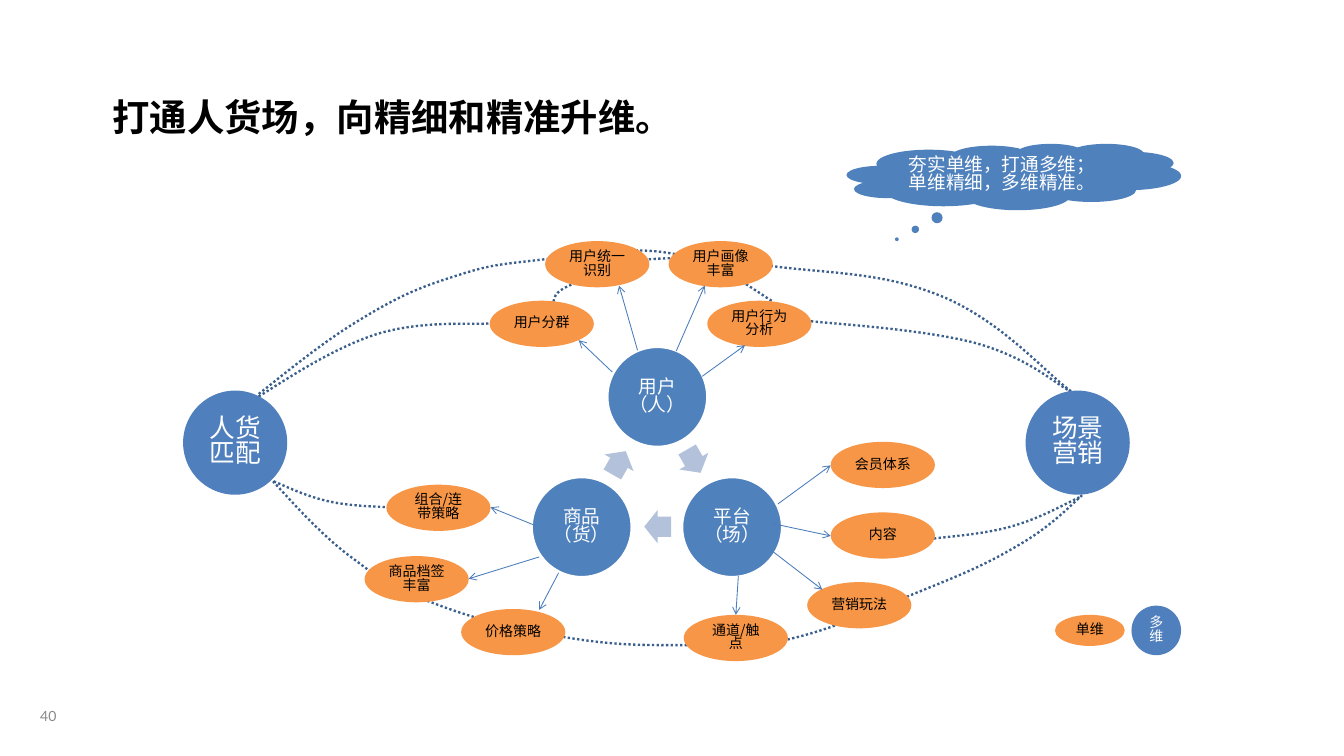
"""Build the slide on linking users, goods and platforms."""
from typing import NamedTuple

from lxml import etree
from pptx import Presentation
from pptx.dml.color import RGBColor
from pptx.enum.dml import MSO_LINE
from pptx.enum.shapes import MSO_CONNECTOR, MSO_SHAPE
from pptx.enum.text import MSO_ANCHOR, MSO_AUTO_SIZE, PP_ALIGN
from pptx.oxml.ns import qn
from pptx.util import Inches, Pt

OVAL, ARROW, CLOUD = MSO_SHAPE.OVAL, MSO_SHAPE.RIGHT_ARROW, MSO_SHAPE.CLOUD_CALLOUT
STRAIGHT, DOTTED = MSO_CONNECTOR.STRAIGHT, MSO_LINE.ROUND_DOT
MIDDLE, CENTER, LEFT = MSO_ANCHOR.MIDDLE, PP_ALIGN.CENTER, PP_ALIGN.LEFT
NO_AUTOFIT = MSO_AUTO_SIZE.NONE

BLACK = RGBColor(0x00, 0x00, 0x00)
WHITE = RGBColor(0xFF, 0xFF, 0xFF)
GRAY = RGBColor(0x89, 0x89, 0x89)
BLUE = RGBColor(0x4F, 0x81, 0xBD)
DEEP_BLUE = RGBColor(0x4F, 0x80, 0xBD)
PALE_BLUE = RGBColor(0xB3, 0xC1, 0xDB)
ORANGE = RGBColor(0xF7, 0x96, 0x46)
LINK_BLUE = RGBColor(0x4B, 0x7E, 0xBC)
ORBIT_BLUE = RGBColor(0x3A, 0x5F, 0x8C)

CJK_FONT, NUMBER_FONT = "Noto Sans CJK SC", "Lato"
CJK_LEADING = 0.82
HUB_SIZE, GOAL_SIZE = 1.19, 1.24
TOPIC_WIDTH, TOPIC_HEIGHT = 1.24, 0.55

Point = tuple[float, float]


class Bubble(NamedTuple):
    """A filled shape with a centred label."""
    label: str
    left: float
    top: float
    width: float
    height: float
    fill: RGBColor
    size: int = 12
    color: RGBColor = WHITE
    kind: MSO_SHAPE = OVAL
    outlined: bool = False
    margin: float | None = None


class CycleArrow(NamedTuple):
    """A block arrow between two hubs."""
    left: float
    top: float
    rotation: int


class Link(NamedTuple):
    """A thin arrow from a hub to a topic."""
    start: Point
    end: Point


def topic(label: str, left: float, top: float) -> Bubble:
    """Describe an orange topic bubble."""
    return Bubble(label, left, top, TOPIC_WIDTH, TOPIC_HEIGHT, ORANGE, color=BLACK)


def hub(label: str, left: float, top: float) -> Bubble:
    """Describe one of the three central circles."""
    return Bubble(label, left, top, HUB_SIZE, HUB_SIZE, BLUE, 16, outlined=True, margin=0.02)


def goal(label: str, left: float) -> Bubble:
    """Describe one of the two outer circles."""
    return Bubble(label, left, 4.65, GOAL_SIZE, GOAL_SIZE, DEEP_BLUE, 22)


ORBITS: list[list[Point]] = [
    [(12.85, 5.92), (12.7, 5.99), (12.39, 6.17), (12.03, 6.27),
     (11.67, 6.37), (11.24, 6.39), (11.06, 6.42)],
    [(3.26, 5.73), (3.38, 5.78), (3.64, 5.91), (3.92, 5.97),
     (4.19, 6.03), (4.51, 6.03), (4.64, 6.04)],
    [(3.25, 5.73), (3.41, 5.9), (3.77, 6.32), (4.15, 6.61), (4.54, 6.9), (4.64, 6.99),
     (5.16, 7.18), (5.68, 7.38), (6.14, 7.49), (6.75, 7.59), (7.36, 7.69), (7.68, 7.68),
     (8.21, 7.68), (8.74, 7.68), (8.88, 7.72), (9.39, 7.61), (9.9, 7.49), (10.24, 7.33),
     (10.78, 7.11), (11.32, 6.89), (11.67, 6.76), (12.09, 6.51), (12.52, 6.27),
     (12.76, 6), (12.9, 5.88)],
    [(12.71, 4.64), (12.53, 4.54), (12.22, 4.25), (11.6, 4.08),
     (10.98, 3.92), (9.99, 3.86), (9.61, 3.82)],
    [(3.08, 4.72), (3.33, 4.57), (3.92, 4.16), (4.48, 3.98), (5.03, 3.81), (5.57, 3.87),
     (5.84, 3.85), (6.11, 3.83), (5.87, 3.87), (5.84, 3.87)],
    [(6.59, 3.59), (6.61, 3.55), (6.57, 3.49), (6.8, 3.39), (7.02, 3.29), (7.22, 3.14),
     (7.7, 3.09), (8.18, 3.05), (8.5, 3.08), (9.2, 3.17), (9.91, 3.26), (10.53, 3.24),
     (11.24, 3.54), (11.94, 3.84), (12.44, 4.43), (12.74, 4.65), (13.03, 4.88),
     (12.75, 4.68), (12.71, 4.65)],
    [(3.08, 4.69), (3.29, 4.53), (3.81, 4.09), (4.28, 3.81), (4.74, 3.53), (4.97, 3.43),
     (5.41, 3.29), (5.84, 3.15), (5.94, 3.15), (6.46, 3.09), (6.98, 3.04), (7.46, 2.92),
     (8.01, 3.02), (8.56, 3.12), (9, 3.47), (9.2, 3.59)],
]
HUBS = [hub("用户（人）", 7.23, 4.13), hub("平台（场）", 8.12, 5.68), hub("商品（货）", 6.33, 5.68)]
CYCLE_ARROWS = [CycleArrow(8.1, 5.29, 60), CycleArrow(7.67, 6.07, 180), CycleArrow(7.21, 5.31, 300)]
TOPICS = [
    topic("用户分群", 5.83, 3.58), topic("用户统一识别", 6.49, 2.87),
    topic("用户画像丰富", 7.96, 2.87), topic("用户行为分析", 8.42, 3.58),
    topic("通道/触点", 8.14, 7.32), topic("营销玩法", 9.61, 6.93),
    topic("内容", 9.89, 6.1), topic("会员体系", 9.89, 5.26),
    topic("组合/连带策略", 4.6, 5.77), topic("商品档签丰富", 4.34, 6.62),
    topic("价格策略", 5.49, 7.25),
]
LINKS = [
    Link((7.29, 4.43), (6.89, 4.05)), Link((8.36, 4.48), (8.87, 4.11)),
    Link((7.59, 4.17), (7.37, 3.4)), Link((8.05, 4.18), (8.39, 3.4)),
    Link((8.79, 6.86), (8.76, 7.32)), Link((9.26, 6), (9.89, 5.54)),
    Link((9.18, 6.55), (9.79, 7.02)), Link((9.18, 6.23), (9.89, 6.38)),
    Link((6.65, 6.82), (6.42, 7.26)), Link((6.38, 6.26), (5.84, 6.04)),
    Link((6.42, 6.63), (5.58, 6.89)),
]
GOALS = [goal("人货匹配", 2.18), goal("场景营销", 12.21)]
MOTTO = Bubble("夯实单维，打通多维；单维精细，多维精准。", 10.08, 1.71, 3.98, 0.79, BLUE, 16, kind=CLOUD)
LEGEND = [
    Bubble("单维", 12.56, 7.32, 0.83, 0.37, ORANGE, color=BLACK),
    Bubble("多维", 13.47, 7.21, 0.59, 0.59, DEEP_BLUE),
]


def write(frame, text: str, size: int, color: RGBColor, align=CENTER,
          font: str = CJK_FONT, bold: bool = False, leading: float = 1.0) -> None:
    """Fill a text frame with one formatted paragraph."""
    frame.text = text
    frame.word_wrap = True
    frame.auto_size = NO_AUTOFIT
    frame.vertical_anchor = MIDDLE
    paragraph = frame.paragraphs[0]
    paragraph.alignment = align
    paragraph.line_spacing = leading
    paragraph.font.size = Pt(size)
    paragraph.font.bold = bold
    paragraph.font.color.rgb = color
    paragraph.font.name = font
    defaults = paragraph._p.pPr.find(qn("a:defRPr"))
    etree.SubElement(defaults, qn("a:ea")).set("typeface", font)


def draw_orbit(slide, points: list[Point]) -> None:
    """Draw a dotted chain of cubic curves."""
    scaled = [(Inches(x), Inches(y)) for x, y in points]
    builder = slide.shapes.build_freeform(*scaled[0])
    builder.add_line_segments(scaled[1:], close=False)
    orbit = builder.convert_to_shape()
    steps = list(orbit._element.iter(qn("a:lnTo")))
    for first, second, third in zip(steps[::3], steps[1::3], steps[2::3]):
        first.tag = qn("a:cubicBezTo")
        for step in (second, third):
            first.append(step[0])
            step.getparent().remove(step)
    orbit.shadow.inherit = False
    orbit.fill.background()
    orbit.line.color.rgb = ORBIT_BLUE
    orbit.line.width = Pt(2)
    orbit.line.dash_style = DOTTED


def draw_bubble(slide, bubble: Bubble):
    """Draw a labelled shape and return it."""
    box = map(Inches, (bubble.left, bubble.top, bubble.width, bubble.height))
    shape = slide.shapes.add_shape(bubble.kind, *box)
    shape.shadow.inherit = False
    shape.fill.solid()
    shape.fill.fore_color.rgb = bubble.fill
    if bubble.outlined:
        shape.line.color.rgb = WHITE
        shape.line.width = Pt(2)
    else:
        shape.line.fill.background()
    frame = shape.text_frame
    if bubble.margin is not None:
        frame.margin_left = frame.margin_right = Inches(bubble.margin)
        frame.margin_top = frame.margin_bottom = Inches(bubble.margin)
    write(frame, bubble.label, bubble.size, bubble.color, leading=CJK_LEADING)
    return shape


def draw_cycle_arrow(slide, arrow: CycleArrow) -> None:
    """Draw a block arrow of the central cycle."""
    shape = slide.shapes.add_shape(
        ARROW, Inches(arrow.left), Inches(arrow.top), Inches(0.32), Inches(0.4))
    shape.rotation = arrow.rotation
    shape.adjustments[0], shape.adjustments[1] = 0.6, 0.5
    shape.shadow.inherit = False
    shape.fill.solid()
    shape.fill.fore_color.rgb = PALE_BLUE
    shape.line.fill.background()


def draw_link(slide, link: Link) -> None:
    """Draw a thin line with an open arrowhead."""
    connector = slide.shapes.add_connector(STRAIGHT, *map(Inches, link.start + link.end))
    connector.line.color.rgb = LINK_BLUE
    connector.line.width = Pt(0.75)
    etree.SubElement(connector.line._get_or_add_ln(), qn("a:tailEnd")).set("type", "arrow")
    etree.SubElement(connector._element.spPr, qn("a:effectLst"))


def main() -> None:
    """Assemble and save the slide."""
    deck = Presentation()
    deck.slide_width, deck.slide_height = Inches(16), Inches(9)
    slide = deck.slides.add_slide(deck.slide_layouts[5])

    title = slide.shapes.title
    title.left, title.top, title.width, title.height = map(Inches, (1.24, 1.07, 6.9, 0.64))
    write(title.text_frame, "打通人货场，向精细和精准升维。", 32, BLACK, LEFT, bold=True)
    title.text_frame.margin_right = 0

    page_number = slide.shapes.add_textbox(*map(Inches, (0.2, 8.28, 0.75, 0.48)))
    write(page_number.text_frame, "40", 12, GRAY, font=NUMBER_FONT)

    for points in ORBITS:
        draw_orbit(slide, points)
    for bubble in HUBS + TOPICS + GOALS + LEGEND:
        draw_bubble(slide, bubble)
    for arrow in CYCLE_ARROWS:
        draw_cycle_arrow(slide, arrow)
    for link in LINKS:
        draw_link(slide, link)
    motto = draw_bubble(slide, MOTTO)
    motto.adjustments[0], motto.adjustments[1] = -0.35, 0.94
    deck.save("out.pptx")


if __name__ == "__main__":
    main()
